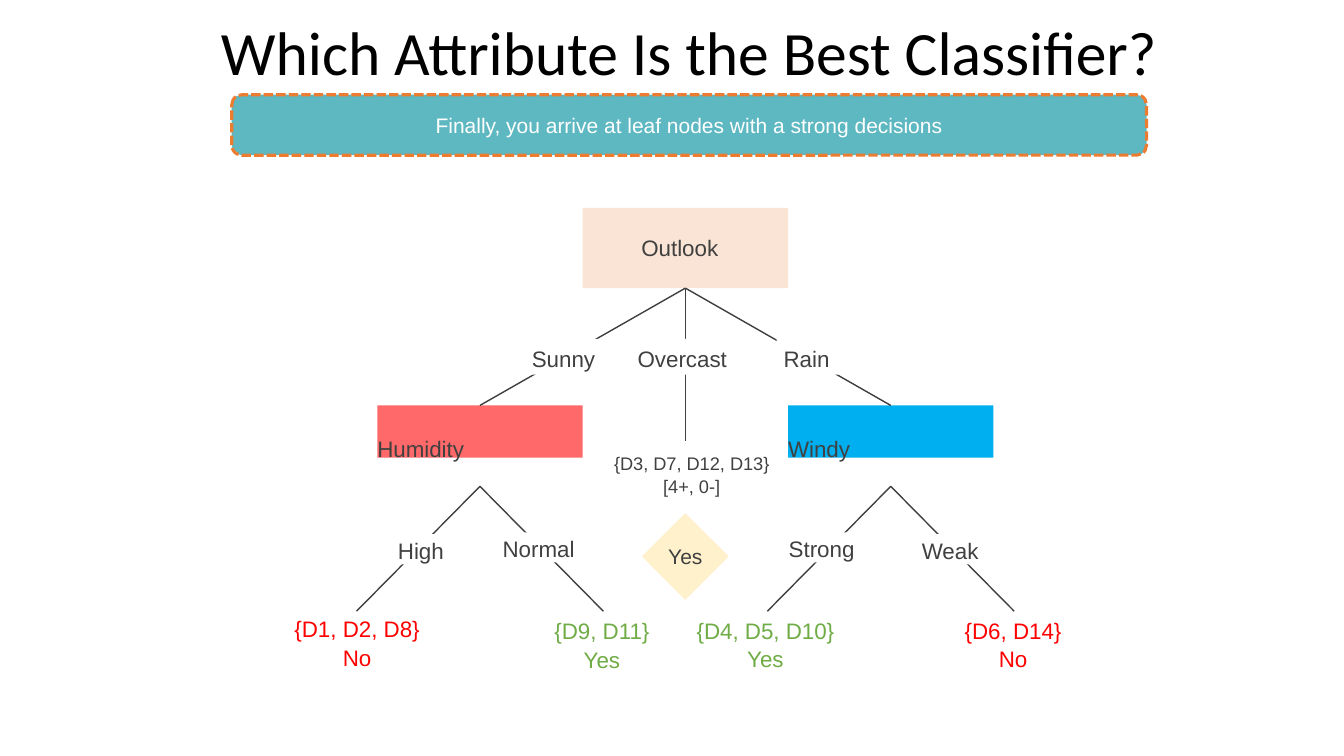
from dataclasses import dataclass

from lxml import etree
from pptx import Presentation
from pptx.dml.color import RGBColor
from pptx.enum.dml import MSO_LINE
from pptx.enum.shapes import MSO_CONNECTOR, MSO_SHAPE
from pptx.enum.text import MSO_ANCHOR, PP_ALIGN
from pptx.oxml.ns import qn
from pptx.util import Pt

RECT, ROUNDED, DIAMOND = MSO_SHAPE.RECTANGLE, MSO_SHAPE.ROUNDED_RECTANGLE, MSO_SHAPE.DIAMOND
LEFT, CENTER = PP_ALIGN.LEFT, PP_ALIGN.CENTER
TOP, MIDDLE = MSO_ANCHOR.TOP, MSO_ANCHOR.MIDDLE
STRAIGHT = MSO_CONNECTOR.STRAIGHT
DASH = MSO_LINE.SQUARE_DOT
SIDE_TOP, SIDE_BOTTOM = 0, 2


@dataclass(frozen=True)
class Theme:
    title_font: str = "Calibri"
    body_font: str = "Arial"
    title_size: float = 44
    node_size: float = 16
    small_size: float = 15
    note_size: float = 13
    black: str = "000000"
    ink: str = "404040"
    white: str = "FFFFFF"
    teal: str = "5EB8C2"
    orange: str = "EC7C30"
    peach: str = "FAE4D5"
    coral: str = "FF6969"
    blue: str = "00AFEF"
    cream: str = "FFF1CC"
    no: str = "FF0000"
    yes: str = "6FAC46"


THEME = Theme()


def set_text(sp, text, size=THEME.node_size, color=THEME.ink, font=THEME.body_font,
             align=CENTER, anchor=MIDDLE, insets=(0, 0, 0, 0), spacing=None, wrap=True):
    """Write one paragraph per line; insets are left, top, right, bottom."""
    tf = sp.text_frame
    tf.word_wrap = wrap
    tf.vertical_anchor = anchor
    tf.margin_left, tf.margin_top, tf.margin_right, tf.margin_bottom = map(Pt, insets)
    for i, line in enumerate(text.split("\n")):
        p = tf.add_paragraph() if i else tf.paragraphs[0]
        p.alignment = align
        p.line_spacing = spacing
        r = p.add_run()
        r.text = line
        r.font.size = Pt(size)
        r.font.name = font
        r.font.color.rgb = RGBColor.from_string(color)


def add_box(s, kind, box, fill, text, **fmt):
    sp = s.shapes.add_shape(kind, *map(Pt, box))
    sp.shadow.inherit = False
    sp.fill.solid()
    sp.fill.fore_color.rgb = RGBColor.from_string(fill)
    sp.line.fill.background()
    set_text(sp, text, **fmt)
    return sp


def add_text(s, box, text, **fmt):
    set_text(s.shapes.add_textbox(*map(Pt, box)), text, **fmt)


def add_branch(s, x1, y1, x2, y2, parent=None, child=None):
    c = s.shapes.add_connector(STRAIGHT, Pt(x1), Pt(y1), Pt(x2), Pt(y2))
    c.line.width = Pt(1)
    c.line.color.rgb = RGBColor.from_string(THEME.ink)
    etree.SubElement(c._element.spPr, qn("a:effectLst"))
    if parent is not None:
        c.begin_connect(parent, SIDE_BOTTOM)
    if child is not None:
        c.end_connect(child, SIDE_TOP)


def add_label(s, box, text):
    """Branch label on a white patch that interrupts the line."""
    add_box(s, RECT, box, THEME.white, text, align=LEFT, insets=(5, 2, 0, 0), wrap=False)


def main():
    prs = Presentation()
    prs.slide_width, prs.slide_height = Pt(960.5), Pt(540)
    s = prs.slides.add_slide(prs.slide_layouts[6])

    # Title and banner
    add_text(s, (91.4, 9.4, 802.8, 54), "Which Attribute Is the Best Classifier?",
             size=THEME.title_size, color=THEME.black, font=THEME.title_font)
    banner = add_box(s, ROUNDED, (165.6, 67.7, 653.8, 43.2), THEME.teal,
                     "Finally, you arrive at leaf nodes with a strong decisions",
                     size=THEME.small_size, color=THEME.white)
    banner.line.color.rgb = RGBColor.from_string(THEME.orange)
    banner.line.width = Pt(2.25)
    banner.line.dash_style = DASH

    # Root and inner nodes
    root_x, root_y, node_w, root_h = 416.4, 148.4, 146.8, 57.4
    root_mid, root_bottom = root_x + node_w / 2, root_y + root_h
    node_y, node_h = 289.6, 37.4
    root = add_box(s, RECT, (root_x, root_y, node_w, root_h), THEME.peach, "Outlook",
                   insets=(0, 0, 8, 0))

    # Branches from the root, then from each inner node
    spread, fork_y, fork_h = 88.2, 347.4, 89.2
    for side, name, fill in ((-1, "Humidity", THEME.coral), (1, "Windy", THEME.blue)):
        x = root_x + side * node_w
        mid = x + node_w / 2
        node = add_box(s, RECT, (x, node_y, node_w, node_h), fill, name,
                       align=LEFT, anchor=TOP, insets=(0, 21.5, 0, 0))
        add_branch(s, root_mid, root_bottom, mid, node_y, root, node)
        for turn in (-1, 1):
            add_branch(s, mid, fork_y, mid + turn * spread, fork_y + fork_h)
    add_branch(s, root_mid, root_bottom, root_mid, 314.8, root)

    # Branch labels
    for x, w, text in ((375.1, 59, "Sunny"), (450.7, 79.2, "Overcast"), (555, 45.2, "Rain")):
        add_label(s, (x, 242, w, 25.6), text)
    for x, y, w, text in ((279.4, 381.6, 46.8, "High"), (354.2, 380.2, 69.1, "Normal"),
                          (558.7, 380.2, 61.9, "Strong"), (653.8, 381.6, 53.3, "Weak")):
        add_label(s, (x, y, w, 21.6), text)

    # Overcast leaf
    add_text(s, (435.6, 322, 117.4, 32), "{D3, D7, D12, D13}\n[4+, 0-]",
             size=THEME.note_size, anchor=TOP, spacing=1.05)
    half = 31
    add_box(s, DIAMOND, (root_mid - half, 366.5, 2 * half, 2 * half), THEME.cream, "Yes",
            size=THEME.small_size, wrap=False)

    # Leaves: centre, top, examples, decision
    leaf_w = 110
    for mid, y, text, color in ((255.2, 438.8, "{D1, D2, D8}\nNo", THEME.no),
                                (430.2, 440.2, "{D9, D11}\nYes", THEME.yes),
                                (547, 439.6, "{D4, D5, D10}\nYes", THEME.yes),
                                (724, 439.6, "{D6, D14}\nNo", THEME.no)):
        add_text(s, (mid - leaf_w / 2, y, leaf_w, 39), text, color=color,
                 anchor=TOP, spacing=1.05)

    prs.save("out.pptx")


if __name__ == "__main__":
    main()
